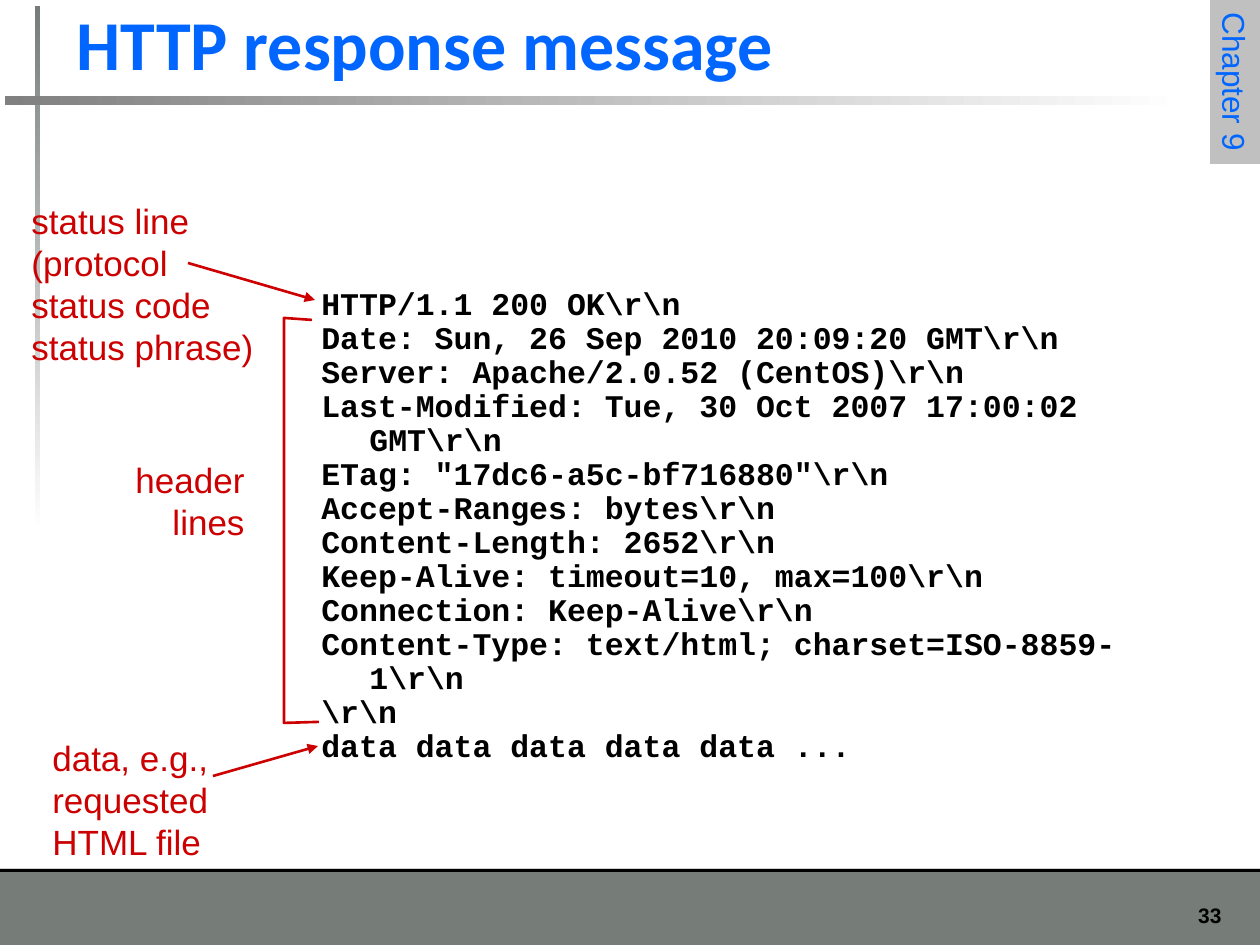
from typing import NamedTuple

from lxml import etree
from pptx import Presentation
from pptx.dml.color import RGBColor
from pptx.enum import shapes, text
from pptx.oxml import ns
from pptx.util import Emu, Pt

EMU_PER_PX = 914400 / 126
RED, BLUE, BLACK, GREY, WHITE = "CC0000", "0066FF", "000000", "767D79", "FFFFFF"
LEFT, RIGHT = text.PP_ALIGN.LEFT, text.PP_ALIGN.RIGHT


class Box(NamedTuple):
    x: int
    y: int
    w: int
    h: int


class Style(NamedTuple):
    size: int
    color: str
    font: str = "Arial"
    bold: bool = False
    align: text.PP_ALIGN = LEFT


class Bar(NamedTuple):
    box: Box
    colors: tuple[str, ...]
    angle: int = 0


class Label(NamedTuple):
    box: Box
    lines: list[str]
    style: Style


class Arrow(NamedTuple):
    x1: int
    y1: int
    x2: int
    y2: int


NOTE = Style(20, RED)
CODE = Style(18, BLACK, "Courier New", True)
HANGING = 48
BARS = [
    Bar(Box(0, 869, 1260, 76), (GREY,)),
    Bar(Box(0, 869, 1260, 3), (BLACK,)),
    Bar(Box(35, 6, 5, 525), (GREY, WHITE), 270),
    Bar(Box(5, 96, 1181, 9), ("808080", WHITE)),
]
LABELS = [
    Label(Box(1155, 896, 79, 38), ["33"], Style(12, BLACK, bold=True, align=RIGHT)),
    Label(Box(19, 193, 247, 181),
          ["status line", "(protocol", "status code", "status phrase)"], NOTE),
    Label(Box(123, 452, 134, 97), ["header", "lines"], NOTE._replace(align=RIGHT)),
    Label(Box(40, 730, 190, 139), ["data, e.g.,", "requested", "HTML file"], NOTE),
]
ARROWS = [Arrow(188, 263, 315, 300), Arrow(213, 776, 318, 746)]
BRACKET = [(312, 320), (284, 318), (284, 723), (319, 722)]
RESPONSE = [
    r"HTTP/1.1 200 OK\r\n",
    r"Date: Sun, 26 Sep 2010 20:09:20 GMT\r\n",
    r"Server: Apache/2.0.52 (CentOS)\r\n",
    r"Last-Modified: Tue, 30 Oct 2007 17:00:02 GMT\r\n",
    r'ETag: "17dc6-a5c-bf716880"\r\n',
    r"Accept-Ranges: bytes\r\n",
    r"Content-Length: 2652\r\n",
    r"Keep-Alive: timeout=10, max=100\r\n",
    r"Connection: Keep-Alive\r\n",
    r"Content-Type: text/html; charset=ISO-8859-1\r\n",
    r"\r\n",
    "data data data data data ...",
]


def px(n: int) -> Emu:
    return Emu(round(n * EMU_PER_PX))


def rgb(color: str) -> RGBColor:
    return RGBColor.from_string(color)


def place(box: Box) -> list[Emu]:
    return [px(n) for n in box]


def write(tf, lines: list[str], style: Style, wrap: bool = False) -> None:
    tf.word_wrap = wrap
    tf.auto_size = text.MSO_AUTO_SIZE.NONE
    tf.text = "\n".join(lines)
    for p in tf.paragraphs:
        p.alignment = style.align
        p.font.size = Pt(style.size)
        p.font.name = style.font
        p.font.bold = style.bold
        p.font.color.rgb = rgb(style.color)


def add_bar(slide, bar: Bar):
    sp = slide.shapes.add_shape(shapes.MSO_SHAPE.RECTANGLE, *place(bar.box))
    sp.shadow.inherit = False
    sp.line.fill.background()
    if len(bar.colors) == 1:
        sp.fill.solid()
        sp.fill.fore_color.rgb = rgb(bar.colors[0])
    else:
        sp.fill.gradient()
        sp.fill.gradient_angle = bar.angle
        for stop, color in zip(sp.fill.gradient_stops, bar.colors):
            stop.color.rgb = rgb(color)
    return sp


def add_label(slide, label: Label, wrap: bool = False):
    sp = slide.shapes.add_textbox(*place(label.box))
    write(sp.text_frame, label.lines, label.style, wrap)
    return sp


def set_line(sp) -> None:
    sp.line.color.rgb = rgb(RED)
    sp.line.width = Pt(1.5)


def add_arrow(slide, arrow: Arrow) -> None:
    sp = slide.shapes.add_connector(
        shapes.MSO_CONNECTOR.STRAIGHT, *(px(n) for n in arrow))
    set_line(sp)
    etree.SubElement(sp.line._get_or_add_ln(), ns.qn("a:tailEnd"), type="triangle")
    etree.SubElement(sp._element.spPr, ns.qn("a:effectLst"))


def add_bracket(slide) -> None:
    start, *rest = [(px(x), px(y)) for x, y in BRACKET]
    builder = slide.shapes.build_freeform(*start)
    builder.add_line_segments(rest, close=False)
    sp = builder.convert_to_shape()
    sp.shadow.inherit = False
    sp.fill.background()
    set_line(sp)


def add_title(slide) -> None:
    sp = slide.shapes.title
    sp.left, sp.top, sp.width, sp.height = place(Box(64, -44, 1071, 135))
    write(sp.text_frame, ["HTTP response message"],
          Style(40, BLUE, "Calibri", True), wrap=True)
    sp.text_frame.vertical_anchor = text.MSO_ANCHOR.BOTTOM


def add_chapter_tab(slide) -> None:
    sp = add_bar(slide, Bar(Box(1153, 57, 164, 50), ("C0C0C0",)))
    sp.rotation = 90
    write(sp.text_frame, ["Chapter 9"], Style(18, BLUE))
    sp.text_frame.vertical_anchor = text.MSO_ANCHOR.TOP


def add_response(slide) -> None:
    sp = add_label(slide, Label(Box(309, 282, 869, 489), RESPONSE, CODE), wrap=True)
    for p in sp.text_frame.paragraphs:
        p.line_spacing = 0.9
        pPr = p._p.get_or_add_pPr()
        pPr.set("marL", str(px(HANGING)))
        pPr.set("indent", str(-px(HANGING)))


def main() -> None:
    prs = Presentation()
    prs.slide_width, prs.slide_height = px(1260), px(945)
    slide = prs.slides.add_slide(prs.slide_layouts[5])
    for bar in BARS:
        add_bar(slide, bar)
    add_chapter_tab(slide)
    add_title(slide)
    for label in LABELS:
        add_label(slide, label)
    for arrow in ARROWS:
        add_arrow(slide, arrow)
    add_bracket(slide)
    add_response(slide)
    prs.save("out.pptx")


if __name__ == "__main__":
    main()
